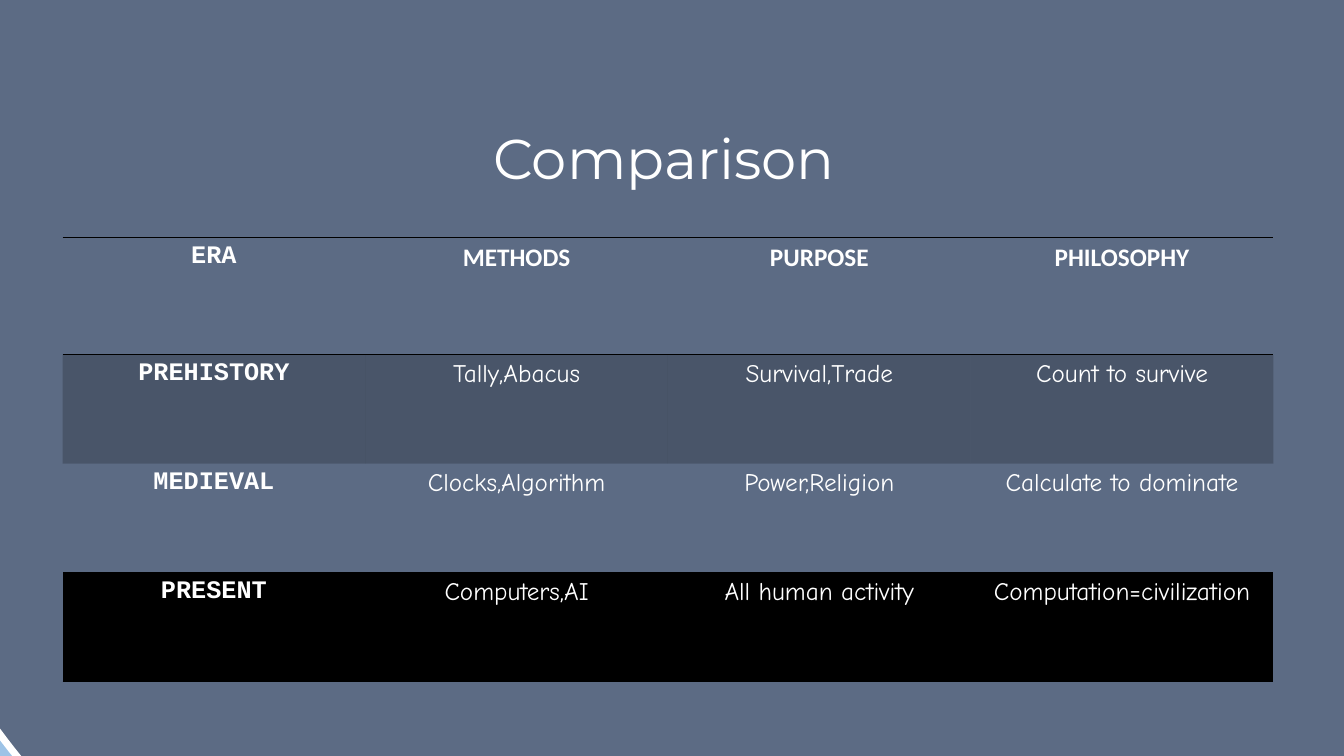
import pptx
import pptx.util
import pptx.dml.color
import pptx.enum.shapes
import pptx.enum.text
import pptx.oxml
import pptx.oxml.ns
from dataclasses import dataclass

Inches = pptx.util.Inches
Pt = pptx.util.Pt
qn = pptx.oxml.ns.qn
Align = pptx.enum.text.PP_ALIGN
Anchor = pptx.enum.text.MSO_ANCHOR


@dataclass(frozen=True)
class Theme:
    background: str = "9DC3E6"
    veil: str = "1A111F"
    text: str = "FFFFFF"
    rule: str = "000000"
    band: str = "000000"
    veil_opacity: int = 49
    band_opacity: int = 20
    title_size: int = 40
    cell_size: int = 18
    title_font: str = "Montserrat"
    header_font: str = "Calibri"
    era_font: str = "Courier New"
    body_font: str = "Comic Neue"
    plain_table_style: str = "{2D5ABB26-0587-4C30-8999-92F81FD0307C}"


def color(value):
    return pptx.dml.color.RGBColor.from_string(value)


def set_values(target, values):
    for name, value in values.items():
        setattr(target, name, value)


class SlideBuilder:
    def __init__(self, slide, theme):
        self.slide = slide
        self.theme = theme
        fill = slide.background.fill
        fill.solid()
        fill.fore_color.rgb = color(theme.background)

    def fill(self, fill, value, opacity):
        fill.solid()
        fill.fore_color.rgb = color(value)
        tint = fill._xPr.find(".//" + qn("a:srgbClr"))
        alpha = pptx.oxml.parse_xml(
            f'<a:alpha {pptx.oxml.ns.nsdecls("a")} val="{opacity * 1000}"/>')
        tint.append(alpha)

    def set_text(self, frame, text, font, size, bold, alignment):
        paragraph = frame.paragraphs[0]
        paragraph.text = text
        paragraph.alignment = alignment
        set_values(paragraph.runs[0].font,
                   {"name": font, "size": Pt(size), "bold": bold})
        paragraph.runs[0].font.color.rgb = color(self.theme.text)

    def title(self, text, left, top, width, height):
        title = self.slide.shapes.title
        set_values(title, {"left": Inches(left), "top": Inches(top),
                           "width": Inches(width), "height": Inches(height)})
        set_values(title.text_frame, {
            "word_wrap": True, "vertical_anchor": Anchor.TOP,
            "auto_size": pptx.enum.text.MSO_AUTO_SIZE.NONE})
        self.set_text(title.text_frame, text, self.theme.title_font,
                      self.theme.title_size, False, Align.LEFT)

    def veil(self, left, top, width, height):
        ellipse = self.slide.shapes.add_shape(
            pptx.enum.shapes.MSO_SHAPE.OVAL,
            Inches(left), Inches(top), Inches(width), Inches(height))
        ellipse.shadow.inherit = False
        self.fill(ellipse.fill, self.theme.veil, self.theme.veil_opacity)
        ellipse.line.color.rgb = color(self.theme.text)
        ellipse.line.width = Pt(5)
        # Keep the veil behind the title
        self.slide.shapes.title.element.addprevious(ellipse.element)

    def border(self, cell, side):
        cell._tc.get_or_add_tcPr().append(pptx.oxml.parse_xml(
            f'<a:ln{side} {pptx.oxml.ns.nsdecls("a")} w="{Pt(1)}"><a:solidFill>'
            f'<a:srgbClr val="{self.theme.rule}"/></a:solidFill></a:ln{side}>'))

    def table(self, rows, left, top, width, heights):
        frame = self.slide.shapes.add_table(
            len(rows), len(rows[0]), Inches(left), Inches(top),
            Inches(width), Inches(sum(heights)))
        table = frame.table
        set_values(table, {"first_row": False, "horz_banding": False})
        table._tbl.tblPr.find(qn("a:tableStyleId")).text = self.theme.plain_table_style
        for row, height in zip(table.rows, heights):
            row.height = Inches(height)
        for row_index, texts in enumerate(rows):
            for column_index, text in enumerate(texts):
                self.cell(table.cell(row_index, column_index), text,
                          row_index, column_index, len(rows) - 1)

    def cell(self, cell, text, row, column, last_row):
        theme = self.theme
        if column == 0:
            font = theme.era_font
        else:
            font = theme.header_font if row == 0 else theme.body_font
        self.set_text(cell.text_frame, text, font, theme.cell_size,
                      row == 0 or column == 0, Align.CENTER)
        cell.vertical_anchor = Anchor.TOP
        # Rules around the header and under the last row
        if row == 0:
            self.border(cell, "T")
        if row in (0, last_row):
            self.border(cell, "B")
        # Shade every other row
        if row % 2:
            self.fill(cell.fill, theme.band, theme.band_opacity)
        else:
            cell.fill.background()


def main():
    presentation = pptx.Presentation()
    set_values(presentation, {"slide_width": Inches(13.33),
                              "slide_height": Inches(7.5)})
    title_only = presentation.slide_layouts[5]
    slide = presentation.slides.add_slide(title_only)
    builder = SlideBuilder(slide, Theme())

    # Backdrop and title
    builder.veil(-1.34, -3.86, 16.25, 14.38)
    builder.title("Comparison", 4.79, 1.18, 5.2, 1.45)

    # Comparison of eras
    eras = [
        ["ERA", "METHODS", "PURPOSE", "PHILOSOPHY"],
        ["PREHISTORY", "Tally,Abacus", "Survival,Trade", "Count to survive"],
        ["MEDIEVAL", "Clocks,Algorithm", "Power,Religion", "Calculate to dominate"],
        ["PRESENT", "Computers,AI", "All human activity", "Computation=civilization"],
    ]
    builder.table(eras, 0.62, 2.36, 12.01, [1.16] + [1.08] * 3)

    presentation.save("out.pptx")


if __name__ == "__main__":
    main()
